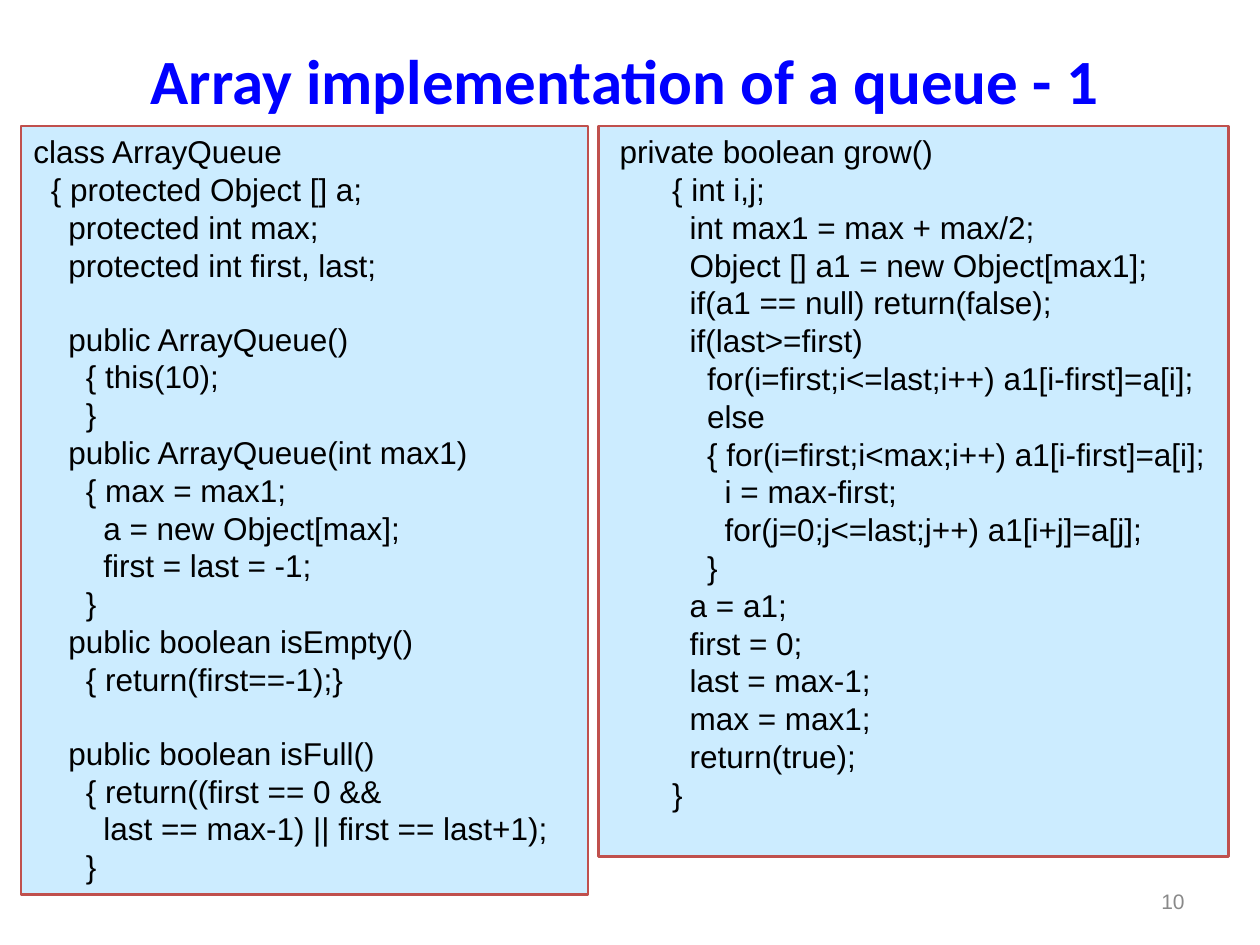
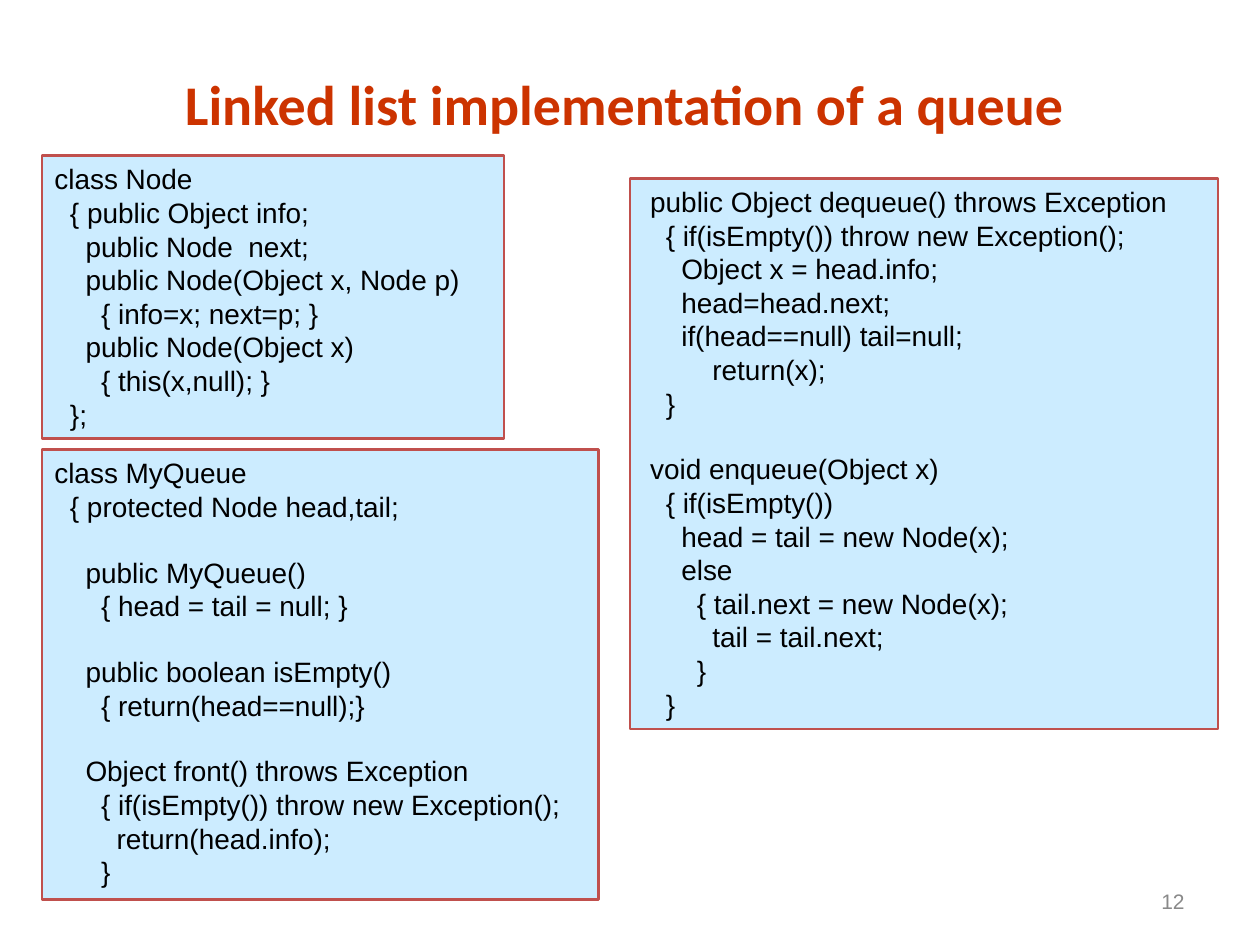
import pptx
import pptx.util
import pptx.dml.color
import pptx.enum.shapes
import pptx.enum.text

Pt = pptx.util.Pt
Align = pptx.enum.text.PP_ALIGN
Anchor = pptx.enum.text.MSO_ANCHOR


def hue(code):
    return pptx.dml.color.RGBColor.from_string(code)


def write(shape, text, look, color, align, anchor):
    frame = shape.text_frame
    layout = {"word_wrap": True, "vertical_anchor": anchor,
              "margin_left": Pt(7.2), "margin_right": Pt(7.2),
              "margin_top": Pt(3.6), "margin_bottom": Pt(3.6)}
    for key, value in layout.items():
        setattr(frame, key, value)
    size = look["size"].pt
    para, gap = None, 0
    for line in text.strip("\n").split("\n"):
        if not line:
            gap += 1
            continue
        para = frame.add_paragraph() if para else frame.paragraphs[0]
        body = line.lstrip()
        depth = len(line) - len(body)
        props = para._p.get_or_add_pPr()
        props.set("marL", str(Pt(depth * size * SPACE)))
        props.set("indent", "0")
        para.alignment = align
        para.space_before = Pt(gap * size * LEADING)
        gap = 0
        run = para.add_run()
        run.text = body
        for key, value in look.items():
            setattr(run.font, key, value)
        run.font.color.rgb = hue(color)


SPACE = 0.278
LEADING = 1.15
BLUE, RED, BLACK, GREY = "0000FF", "CC3300", "000000", "898989"
PANEL, BORDER = "CCECFF", "C0504D"

ARRAY = """
class ArrayQueue
  { protected Object [] a;
    protected int max;
    protected int first, last;

    public ArrayQueue()
      { this(10);
      }
    public ArrayQueue(int max1)
      { max = max1;
        a = new Object[max];
        first = last = -1;
      }
    public boolean isEmpty()
      { return(first==-1);}

    public boolean isFull()
      { return((first == 0 &&
        last == max-1) || first == last+1);
      }
"""
GROW = """
 private boolean grow()
       { int i,j;
         int max1 = max + max/2;
         Object [] a1 = new Object[max1];
         if(a1 == null) return(false);
         if(last>=first)
           for(i=first;i<=last;i++) a1[i-first]=a[i];
           else
           { for(i=first;i<max;i++) a1[i-first]=a[i];
             i = max-first;
             for(j=0;j<=last;j++) a1[i+j]=a[j];
           }
         a = a1;
         first = 0;
         last = max-1;
         max = max1;
         return(true);
       }
"""
NODE = """
class Node
  { public Object info;
    public Node  next;
    public Node(Object x, Node p)
      { info=x; next=p; }
    public Node(Object x)
      { this(x,null); }
  };
"""
QUEUE = """
class MyQueue
  { protected Node head,tail;

    public MyQueue()
      { head = tail = null; }

    public boolean isEmpty()
      { return(head==null);}

    Object front() throws Exception
      { if(isEmpty()) throw new Exception();
        return(head.info);
      }
"""
MOVES = """
 public Object dequeue() throws Exception
   { if(isEmpty()) throw new Exception();
     Object x = head.info;
     head=head.next;
     if(head==null) tail=null;
         return(x);
   }

 void enqueue(Object x)
   { if(isEmpty())
     head = tail = new Node(x);
     else
       { tail.next = new Node(x);
         tail = tail.next;
       }
   }
"""

pages = [
    {"title": "Array implementation of a queue - 1", "color": BLUE,
     "size": 36, "top": 20, "high": 50.4, "code": 18, "number": "10",
     "panels": [(ARRAY, 12, 72, 324, 439), (GROW, 342, 72, 360, 417.6)]},
    {"title": "Linked list implementation of a queue", "color": RED,
     "size": 32, "top": 36, "high": 46, "code": 16, "number": "12",
     "panels": [(NODE, 24, 89, 264, 161.5), (QUEUE, 24, 257, 318, 257),
                (MOVES, 360, 102, 336, 314.5)]},
]

deck = pptx.Presentation()
deck.slide_width, deck.slide_height = Pt(720), Pt(540)

for page in pages:
    slide = deck.slides.add_slide(deck.slide_layouts[6])
    shapes = slide.shapes

    title = shapes.add_textbox(Pt(18), Pt(page["top"]), Pt(678), Pt(page["high"]))
    look = {"name": "Calibri", "size": Pt(page["size"]), "bold": True}
    write(title, page["title"], look, page["color"], Align.CENTER, Anchor.MIDDLE)

    for code, *place in page["panels"]:
        panel = shapes.add_shape(pptx.enum.shapes.MSO_SHAPE.RECTANGLE, *map(Pt, place))
        panel.shadow.inherit = False
        panel.fill.solid()
        panel.fill.fore_color.rgb = hue(PANEL)
        panel.line.color.rgb = hue(BORDER)
        panel.line.width = Pt(1.5)
        look = {"name": "Arial", "size": Pt(page["code"]), "bold": False}
        write(panel, code, look, BLACK, Align.LEFT, Anchor.TOP)

    foot = shapes.add_textbox(Pt(516), Pt(500.4), Pt(168), Pt(28.8))
    look = {"name": "Arial", "size": Pt(12), "bold": False}
    write(foot, page["number"], look, GREY, Align.RIGHT, Anchor.MIDDLE)

deck.save("out.pptx")
